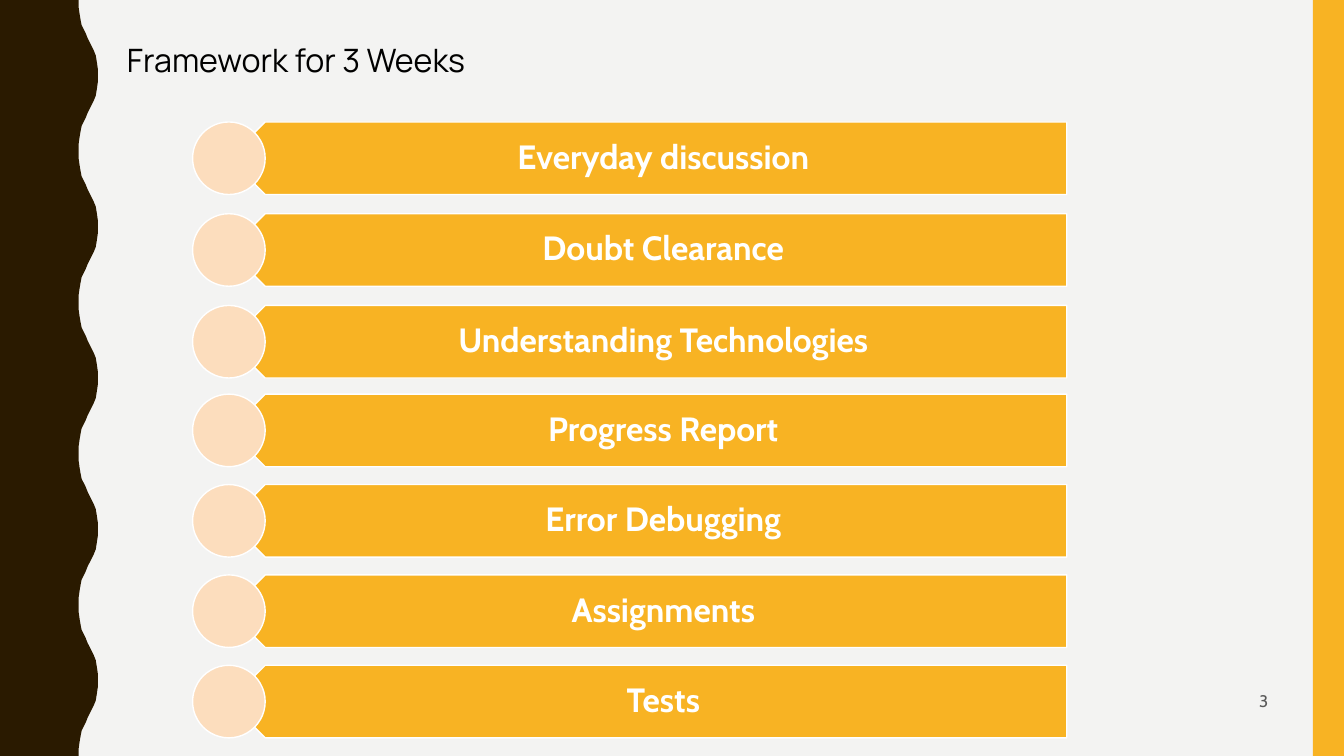
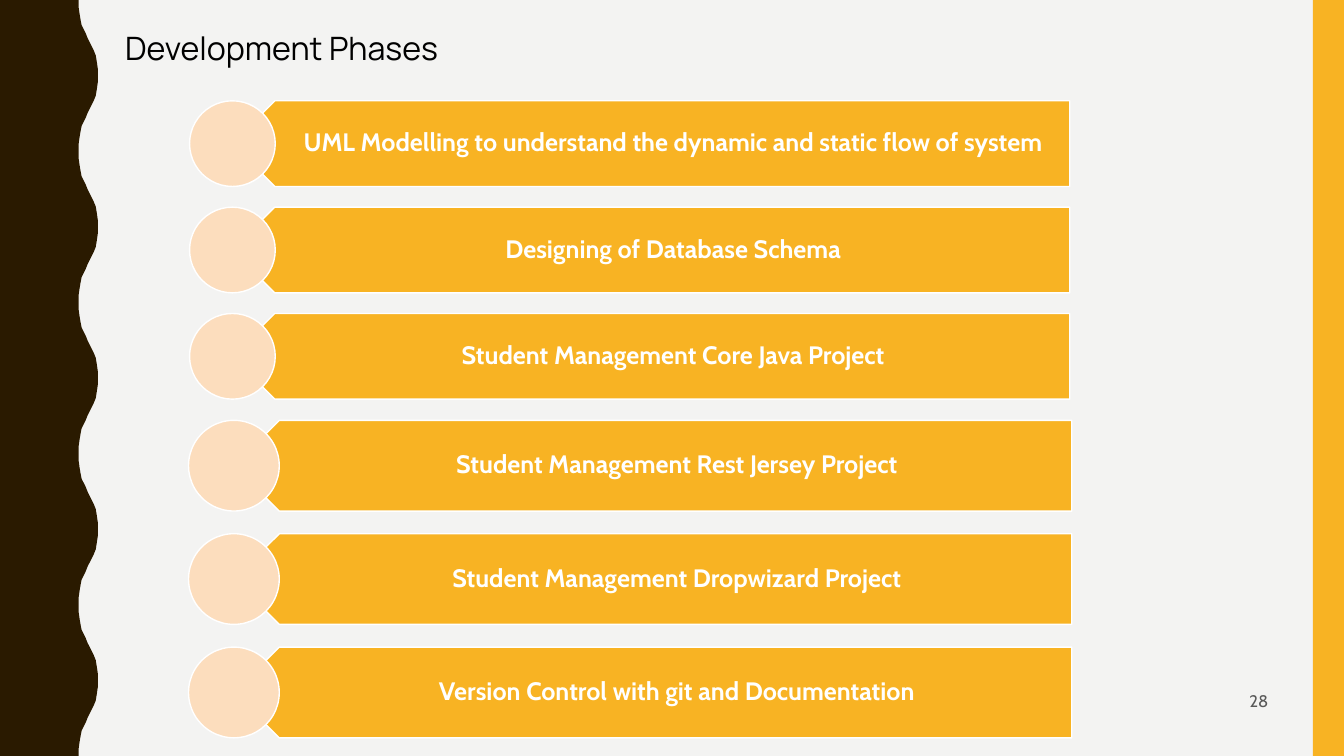
from dataclasses import dataclass

from pptx import Presentation
from pptx.dml.color import RGBColor
from pptx.enum.shapes import MSO_SHAPE as SHAPE
from pptx.enum.text import MSO_ANCHOR as ANCHOR, PP_ALIGN as ALIGN
from pptx.util import Pt

PX = 9144
WIDTH, HEIGHT = 1333, 750


@dataclass(frozen=True)
class Theme:
    """Colours, fonts and type sizes shared by the slides."""
    paper: str = "F3F3F2"
    wave: str = "2A1A00"
    accent: str = "F8B323"
    peach: str = "FCDDBD"
    white: str = "FFFFFF"
    ink: str = "000000"
    muted: str = "595959"
    heading: str = "Manrope"
    body: str = "Cabin"
    title_pt: int = 23
    number_pt: int = 12
    outline_pt: int = 1


T = Theme()
HALF_WAVE = [(78, 0), (78, 7), (79, 14), (80, 20), (81, 25), (83, 29), (85, 33), (87, 38),
             (89, 42), (91, 46), (93, 50), (95, 55), (96, 61), (97, 68), (97, 75)]
WAVE_PERIOD = 150

SLIDES = [
    dict(title="Framework for 3 Weeks", at=(126, 36), number=3, size=24, pad=(10, 19), lists=[
        ((191, 121, 867, 254), 72,
         ["Everyday discussion", "Doubt Clearance", "Understanding Technologies"]),
        ((191, 391, 867, 341), 72,
         ["Progress Report", "Error Debugging", "Assignments", "Tests"]),
    ]),
    dict(title="Development Phases", at=(124, 24), number=28, size=18, pad=(7, 14), lists=[
        ((188, 100, 873, 296), 85,
         ["UML Modelling to understand the dynamic and static flow of system",
          "Designing of Database Schema",
          "Student Management Core Java Project"]),
        ((187, 417, 876, 315), 90,
         ["Student Management Rest Jersey Project",
          "Student Management Dropwizard Project",
          "Version Control with git and Documentation"]),
    ]),
]


def px(*lengths):
    """Turn px lengths into EMU."""
    return [round(v * PX) for v in lengths]


def paint(sp, fill, line=None):
    """Give a shape a flat fill and an optional outline."""
    sp.shadow.inherit = False
    sp.fill.solid()
    sp.fill.fore_color.rgb = RGBColor.from_string(fill)
    if line:
        sp.line.color.rgb = RGBColor.from_string(line)
        sp.line.width = Pt(T.outline_pt)
    else:
        sp.line.fill.background()
    return sp


def add_text(shapes, box, text, font, size, color, bold=False, align=ALIGN.LEFT,
             anchor=ANCHOR.TOP, spacing=1.0, insets=(0, 0, 0, 0)):
    """Place one styled paragraph in a box."""
    tf = shapes.add_textbox(*px(*box)).text_frame
    tf.word_wrap = True
    tf.vertical_anchor = anchor
    tf.margin_left, tf.margin_top, tf.margin_right, tf.margin_bottom = px(*insets)
    tf.text = text
    p = tf.paragraphs[0]
    p.alignment, p.line_spacing = align, spacing
    r = p.runs[0]
    r.font.name, r.font.size, r.font.bold = font, Pt(size), bold
    r.font.color.rgb = RGBColor.from_string(color)


def add_frame(s, number):
    """Draw the wavy left edge, the right band and the slide number."""
    period = HALF_WAVE + [(x, WAVE_PERIOD - y) for x, y in HALF_WAVE[-2::-1]]
    edge = [(x, top + y) for top in range(0, HEIGHT, WAVE_PERIOD) for x, y in period]
    outline = s.shapes.build_freeform(0, 0, scale=float(PX))
    outline.add_line_segments(edge + [(0, HEIGHT)], close=True)
    paint(outline.convert_to_shape(), T.wave)
    paint(s.shapes.add_shape(SHAPE.RECTANGLE, *px(1302, 0, 31, HEIGHT)), T.accent)
    add_text(s.shapes, (1228, 690, 30, 10), str(number), T.body, T.number_pt, T.muted,
             align=ALIGN.RIGHT, anchor=ANCHOR.MIDDLE)


def add_row(shapes, box, text, size, pad):
    """Draw a pointed bar with its label and a circle over its tip."""
    x, y, w, h = box
    pad_y, pad_right = pad
    right, tip = x + w, x + h // 2
    label = tip + h // 4
    bar = shapes.add_shape(SHAPE.PENTAGON, *px(tip, y, right - tip, h))
    bar.rotation = 180
    paint(bar, T.accent, T.white)
    add_text(shapes, (label, y, right - label, h), text, T.body, size, T.white, bold=True,
             align=ALIGN.CENTER, anchor=ANCHOR.MIDDLE, spacing=0.9,
             insets=(0.44 * h, pad_y, pad_right, pad_y))
    paint(shapes.add_shape(SHAPE.OVAL, *px(x, y, h, h)), T.peach, T.white)


def add_list(s, box, row_h, items, size, pad):
    """Spread rows evenly down a box, as one group."""
    x, y, w, h = box
    group = s.shapes.add_group_shape()
    pitch = (h - row_h) / (len(items) - 1)
    for i, text in enumerate(items):
        add_row(group.shapes, (x, y + i * pitch, w, row_h), text, size, pad)


def add_list_slide(prs, title, at, number, size, pad, lists):
    """Build a slide with a title and stacked lists."""
    s = prs.slides.add_slide(prs.slide_layouts[6])
    add_frame(s, number)
    add_text(s.shapes, (*at, 1183, 52), title, T.heading, T.title_pt, T.ink, spacing=1.1)
    for box, row_h, items in lists:
        add_list(s, box, row_h, items, size, pad)


def main():
    """Build and save the presentation."""
    prs = Presentation()
    prs.slide_width, prs.slide_height = px(WIDTH, HEIGHT)
    fill = prs.slide_master.background.fill
    fill.solid()
    fill.fore_color.rgb = RGBColor.from_string(T.paper)
    for content in SLIDES:
        add_list_slide(prs, **content)
    prs.save("out.pptx")


if __name__ == "__main__":
    main()
